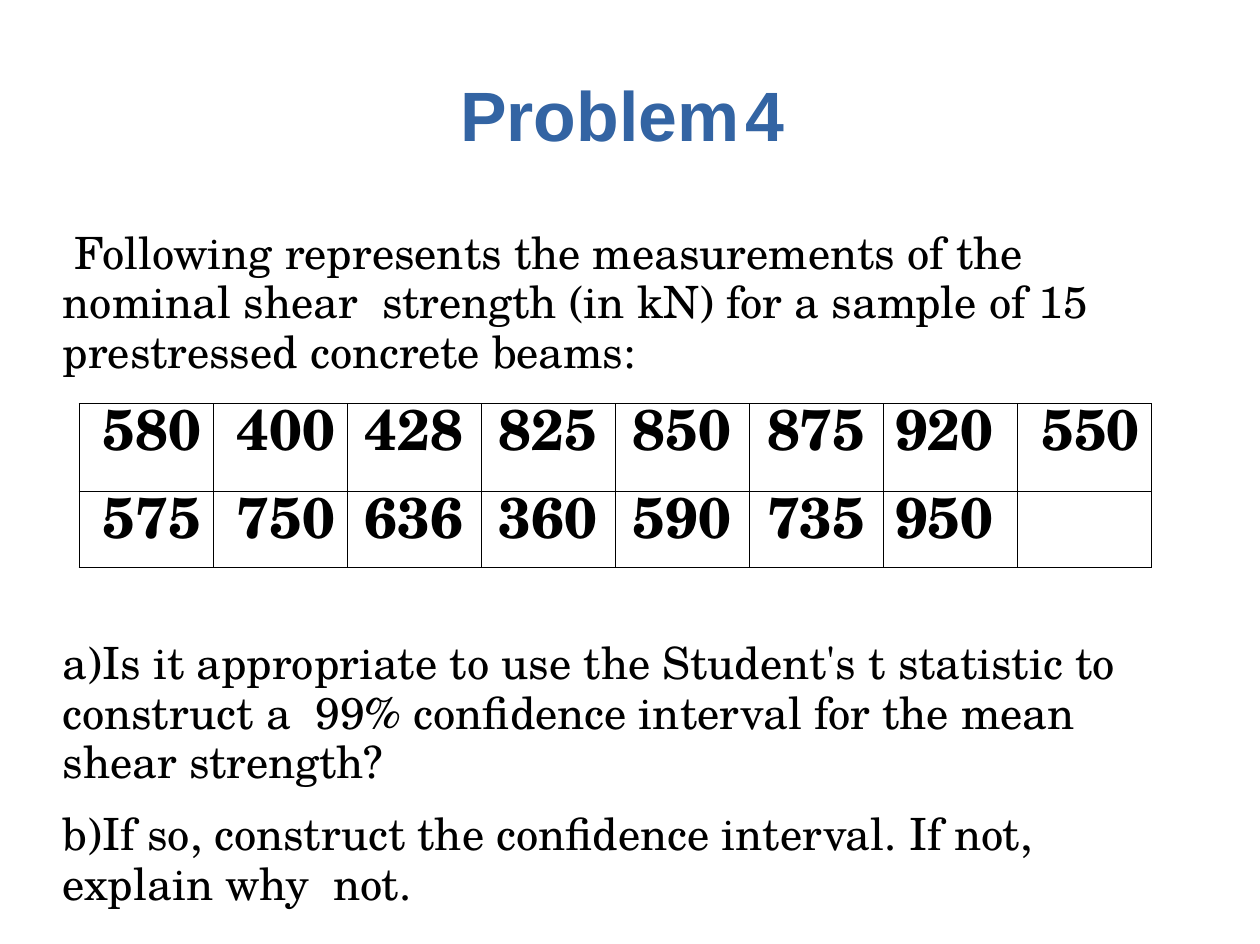
from dataclasses import dataclass

import pptx
import pptx.dml.color
import pptx.enum.text
import pptx.oxml
import pptx.oxml.ns
import pptx.util

Inches = pptx.util.Inches
Pt = pptx.util.Pt
ALIGN = pptx.enum.text.PP_ALIGN
NAMESPACE = pptx.oxml.ns.nsdecls("a")


@dataclass(frozen=True)
class Theme:
    title_font: str = "Arial"
    body_font: str = "TeX Gyre Schola"
    title_color: str = "3364A3"
    text_color: str = "000000"
    title_size: int = 44
    body_size: int = 28
    table_size: int = 36
    body_leading: float = 31.2
    table_leading: float = 43
    border_width: float = 0.25


class ProblemSlide:
    def __init__(self, presentation, theme):
        self.theme = theme
        self.slide = presentation.slides.add_slide(presentation.slide_layouts[6])

    def style(self, paragraph, font, size, color, bold=False):
        paragraph.font.name = font
        paragraph.font.size = Pt(size)
        paragraph.font.bold = bold
        paragraph.font.color.rgb = pptx.dml.color.RGBColor.from_string(color)

    def text_frame(self, left, top, width, height, inset):
        shape = self.slide.shapes.add_textbox(
            Inches(left), Inches(top), Inches(width), Inches(height))
        frame = shape.text_frame
        frame.word_wrap = True
        frame.margin_left = frame.margin_right = frame.margin_bottom = 0
        frame.margin_top = Inches(inset)
        return frame

    def indent(self, paragraph, margin, first_line=0):
        properties = paragraph._p.get_or_add_pPr()
        properties.set("marL", str(Inches(margin)))
        properties.set("indent", str(Inches(first_line)))
        return properties

    def title(self, text, left, top, width, height, tab):
        paragraph = self.text_frame(left, top, width, height, 0.02).paragraphs[0]
        paragraph.text = text
        properties = self.indent(paragraph, 0.01)
        properties.append(pptx.oxml.parse_xml(
            f'<a:tabLst {NAMESPACE}><a:tab pos="{Inches(tab)}" algn="l"/></a:tabLst>'))
        self.style(paragraph, self.theme.title_font, self.theme.title_size,
                   self.theme.title_color, bold=True)

    def body(self, texts, left, top, width, height, first_line=0, numbered=False):
        frame = self.text_frame(left, top, width, height, 0.12)
        for index, text in enumerate(texts):
            paragraph = frame.add_paragraph() if index else frame.paragraphs[0]
            paragraph.text = text
            paragraph.line_spacing = Pt(self.theme.body_leading)
            if index:
                paragraph.space_before = Pt(14.2)
            properties = self.indent(paragraph, 0.01, first_line)
            if numbered:
                properties.append(pptx.oxml.parse_xml(
                    f'<a:buAutoNum {NAMESPACE} type="alphaLcParenR"/>'))
            self.style(paragraph, self.theme.body_font, self.theme.body_size,
                       self.theme.text_color)

    def border(self, cell):
        properties = cell._tc.get_or_add_tcPr()
        for position, side in enumerate(("lnL", "lnR", "lnT", "lnB")):
            properties.insert(position, pptx.oxml.parse_xml(
                f'<a:{side} {NAMESPACE} w="{Pt(self.theme.border_width)}"><a:solidFill>'
                f'<a:srgbClr val="{self.theme.text_color}"/></a:solidFill></a:{side}>'))

    def table(self, rows, alignments, left, top, width, heights, inset):
        table = self.slide.shapes.add_table(
            len(rows), len(alignments), Inches(left), Inches(top),
            Inches(width), Inches(sum(heights))).table
        table.first_row = table.horz_banding = False
        for row, height, values in zip(table.rows, heights, rows):
            row.height = Inches(height)
            for cell, value, alignment in zip(row.cells, values, alignments):
                cell.margin_top = cell.margin_bottom = 0
                cell.margin_left = Inches(inset if alignment == ALIGN.LEFT else 0)
                cell.margin_right = Inches(inset if alignment == ALIGN.RIGHT else 0)
                cell.fill.background()
                self.border(cell)
                paragraph = cell.text_frame.paragraphs[0]
                paragraph.text = value
                paragraph.alignment = alignment
                paragraph.line_spacing = Pt(self.theme.table_leading)
                self.style(paragraph, self.theme.body_font, self.theme.table_size,
                           self.theme.text_color, bold=True)


def main():
    presentation = pptx.Presentation()
    presentation.slide_width = Inches(11.03)
    presentation.slide_height = Inches(8.26)
    problem = ProblemSlide(presentation, Theme())
    problem.title("Problem\t4", 4.02, 0.61, 3.1, 0.76, tab=2.63)
    problem.body(
        ["Following represents the measurements of the nominal shear  strength "
         "(in kN) for a sample of 15 prestressed concrete beams:"],
        0.54, 1.88, 9.86, 1.42, first_line=0.1)
    problem.body(
        ["Is it appropriate to use the Student's t statistic to construct a  99% "
         "confidence interval for the mean shear strength?",
         "If so, construct the confidence interval. If not, explain why  not."],
        0.54, 5.47, 9.66, 2.48, numbered=True)
    strengths = [
        ["580", "400", "428", "825", "850", "875", "920", "550"],
        ["575", "750", "636", "360", "590", "735", "950", ""],
    ]
    alignments = [ALIGN.LEFT] * 2 + [ALIGN.CENTER] * 4 + [ALIGN.RIGHT, ALIGN.LEFT]
    problem.table(strengths, alignments, 0.69, 3.53, 9.39, [0.77, 0.66], inset=0.21)
    presentation.save("out.pptx")


if __name__ == "__main__":
    main()
